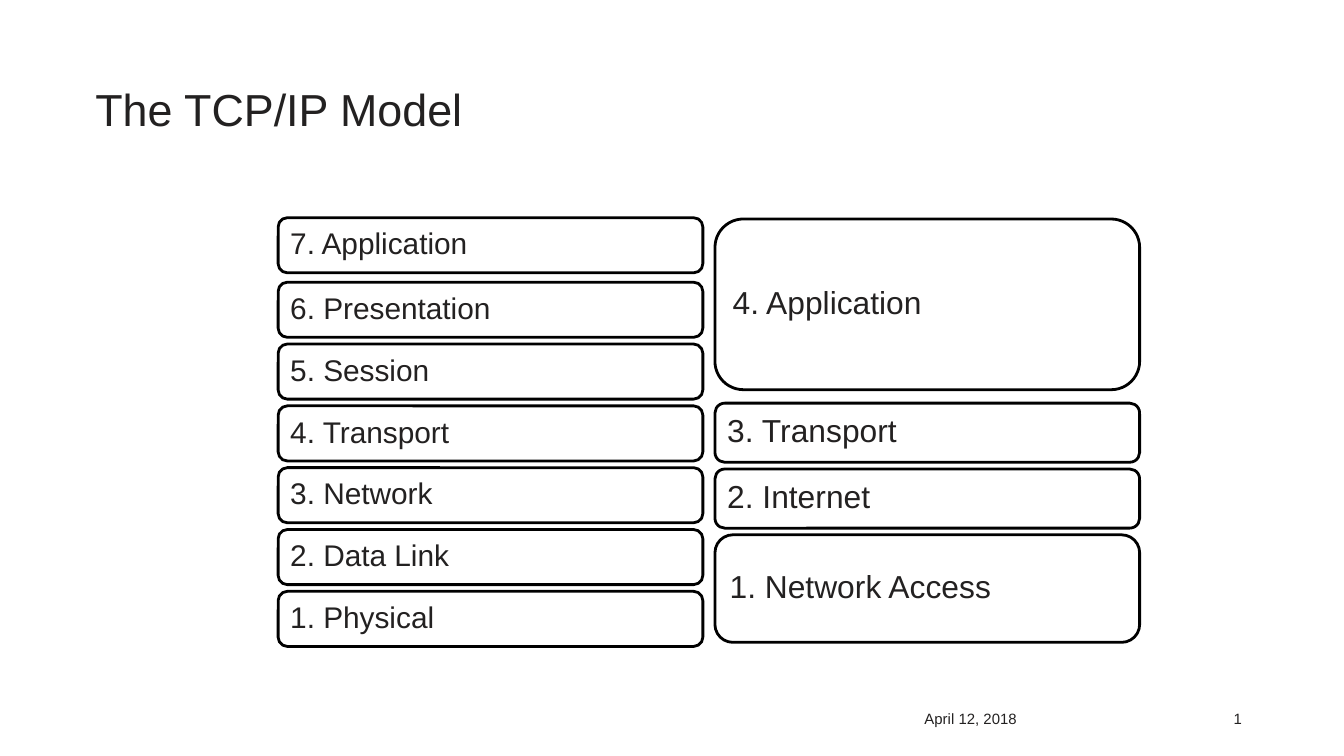
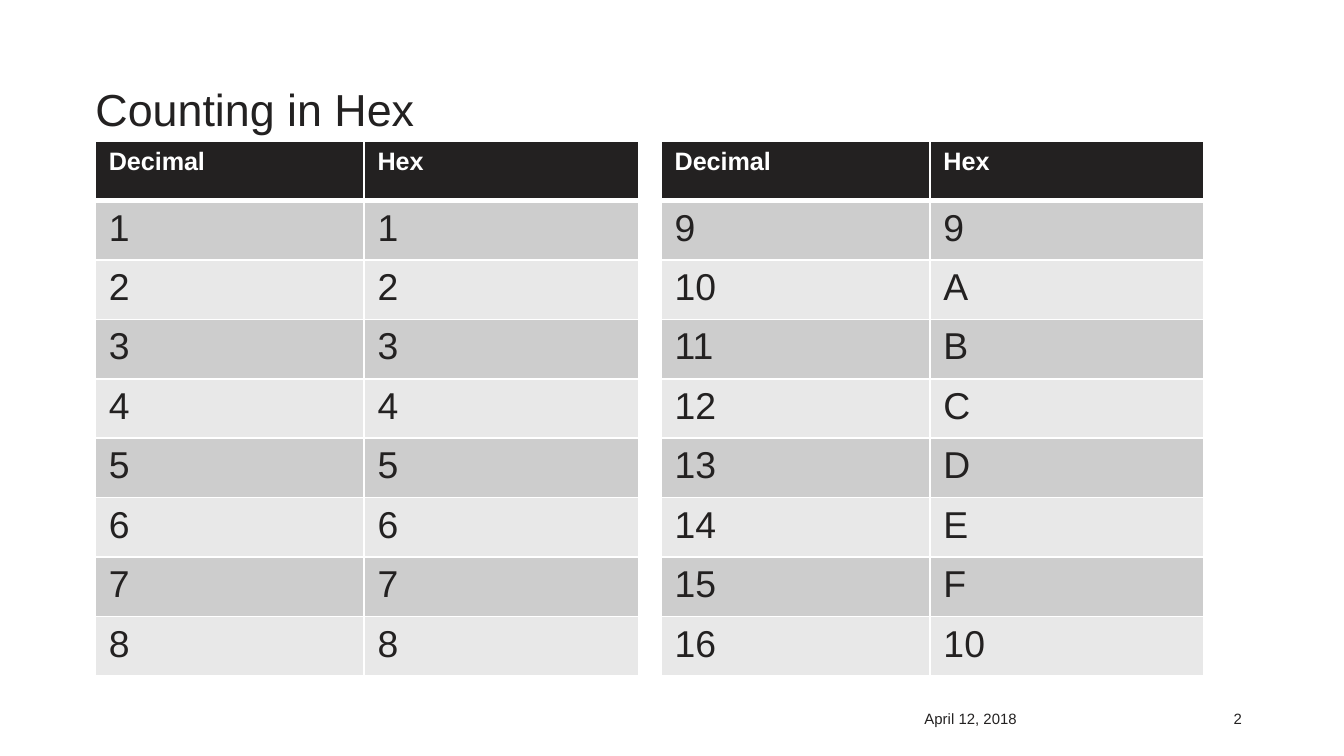
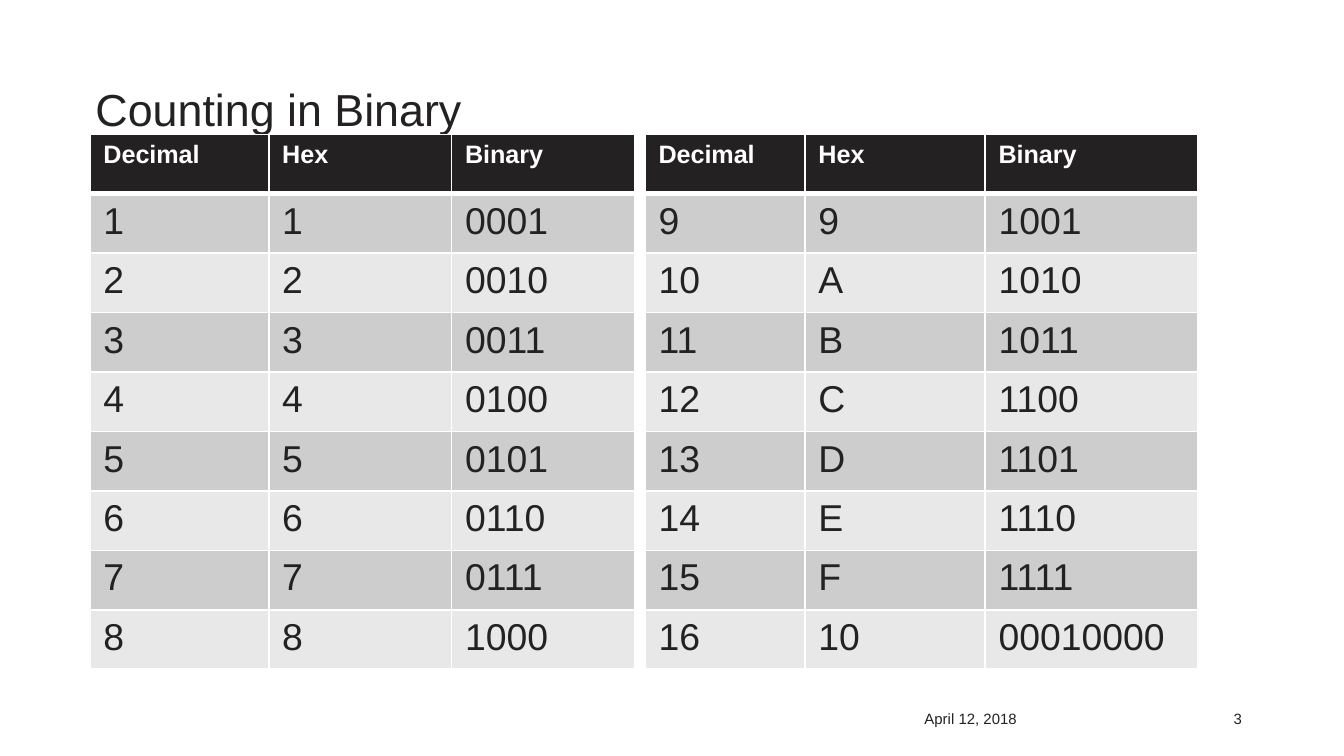
from dataclasses import dataclass

from lxml.etree import SubElement
from pptx import Presentation
from pptx.dml.color import RGBColor
from pptx.enum.shapes import MSO_SHAPE
from pptx.enum.text import MSO_ANCHOR, PP_ALIGN
from pptx.oxml.ns import qn
from pptx.util import Inches, Pt


@dataclass(frozen=True)
class Theme:
    """Colours, font and type sizes shared by the slides."""
    font: str = "Arial"
    ink: str = "232121"
    white: str = "FFFFFF"
    outline: str = "000000"
    band_dark: str = "CDCDCD"
    band_light: str = "E8E8E8"
    title: float = 24
    footer: float = 8
    osi_layer: float = 16
    tcp_layer: float = 17
    table_head: float = 13.5
    table_body: float = 20


T = Theme()
DATE = "April 12, 2018"
OSI_LAYERS = ["Application", "Presentation", "Session", "Transport",
              "Network", "Data Link", "Physical"]
TCP_LAYERS = ["Application", "Transport", "Internet", "Network Access"]
FORMATS = {
    "Decimal": str,
    "Hex": lambda n: f"{n:X}",
    "Binary": lambda n: f"{n:b}".zfill(4 * len(f"{n:X}")),
}


def write(tf, text, size, color=T.ink, bold=False, align=PP_ALIGN.LEFT,
          spacing=None, inset=None, anchor=None):
    """Put one formatted paragraph into a text frame."""
    tf.word_wrap = True
    if inset is not None:
        tf.margin_left = tf.margin_top = Inches(inset)
        tf.margin_right = tf.margin_bottom = Inches(inset)
    if anchor is not None:
        tf.vertical_anchor = anchor
    p = tf.paragraphs[0]
    p.alignment = align
    if spacing:
        p.line_spacing = spacing
    r = p.add_run()
    r.text = text
    r.font.name = T.font
    r.font.size = Pt(size)
    r.font.bold = bold
    r.font.color.rgb = RGBColor.from_string(color)


def add_text(s, box, text, size, **fmt):
    """Add a text box at left, top, width, height."""
    tb = s.shapes.add_textbox(*map(Inches, box))
    write(tb.text_frame, text, size, **fmt)


def add_frame(prs, title):
    """Add a slide with its title, date and number."""
    s = prs.slides.add_slide(prs.slide_layouts[6])
    add_text(s, (0.71, 0.65, 8.62, 0.82), title, T.title, spacing=0.9, inset=0)
    add_text(s, (6.78, 5.23, 2.05, 0.2), DATE, T.footer)
    add_text(s, (8.83, 5.23, 0.51, 0.2), str(len(prs.slides)), T.footer,
             align=PP_ALIGN.RIGHT)
    return s


def add_stack(s, left, top, layers, heights, first_gap, size, width=3.16, gap=0.05):
    """Stack numbered layers downwards, with a wider gap below the first."""
    group = s.shapes.add_group_shape()
    for i, (layer, height) in enumerate(zip(layers, heights)):
        sp = group.shapes.add_shape(MSO_SHAPE.ROUNDED_RECTANGLE,
                                    *map(Inches, (left, top, width, height)))
        sp.shadow.inherit = False
        sp.fill.solid()
        sp.fill.fore_color.rgb = RGBColor.from_string(T.white)
        sp.line.color.rgb = RGBColor.from_string(T.outline)
        sp.line.width = Pt(1.5)
        write(sp.text_frame, f"{len(layers) - i}. {layer}", size,
              spacing=0.9, inset=0.07, anchor=MSO_ANCHOR.MIDDLE)
        top += height + (gap if i else first_gap)


def set_borders(cell, **widths):
    """Draw white cell borders, given in points by side."""
    tc_pr = cell._tc.get_or_add_tcPr()
    for side in "LRTB":
        ln = SubElement(tc_pr, qn(f"a:ln{side}"), w=str(Pt(widths.get(side, 1))))
        fill = SubElement(ln, qn("a:solidFill"))
        SubElement(fill, qn("a:srgbClr"), val=T.white)


def add_number_table(s, left, top, numbers, widths, height=3.98):
    """Add a banded table of numbers in as many notations as widths."""
    heads = list(FORMATS)[:len(widths)]
    rows = [heads] + [[FORMATS[h](n) for h in heads] for n in numbers]
    box = (left, top, sum(widths), height)
    table = s.shapes.add_table(len(rows), len(heads), *map(Inches, box)).table
    table.horz_banding = False
    for column, width in zip(table.columns, widths):
        column.width = Inches(width)
    for i, row in enumerate(rows):
        if i == 0:
            band, borders = T.ink, {"B": 3}
            fmt = {"size": T.table_head, "color": T.white, "bold": True}
        else:
            band = T.band_dark if i % 2 else T.band_light
            borders = {"T": 3} if i == 1 else {}
            fmt = {"size": T.table_body}
        for j, text in enumerate(row):
            cell = table.cell(i, j)
            set_borders(cell, **borders)
            cell.fill.solid()
            cell.fill.fore_color.rgb = RGBColor.from_string(band)
            write(cell.text_frame, text, **fmt)


def add_model_slide(prs):
    """Show the seven layers beside the four TCP/IP layers."""
    s = add_frame(prs, "The TCP/IP Model")
    add_stack(s, 2.07, 1.62, OSI_LAYERS, [0.41] * 7, 0.07, T.osi_layer)
    add_stack(s, 5.32, 1.63, TCP_LAYERS, [1.27, 0.44, 0.44, 0.8], 0.1, T.tcp_layer)


def add_counting_slide(prs, title, top, left_table, right_table):
    """Show 1 to 8 and 9 to 16 in two tables, each a left edge and widths."""
    s = add_frame(prs, title)
    for first, (left, widths) in zip((1, 9), (left_table, right_table)):
        add_number_table(s, left, top, range(first, first + 8), widths)


def main():
    """Build and save the presentation."""
    prs = Presentation()
    prs.slide_width, prs.slide_height = Inches(10), Inches(10 * 9 / 16)
    add_model_slide(prs)
    add_counting_slide(prs, "Counting in Hex", 1.05,
                       (0.71, (2, 2.04)), (4.92, (2, 2.04)))
    add_counting_slide(prs, "Counting in Binary", 1,
                       (0.67, (1.33, 1.36, 1.36)), (4.8, (1.19, 1.34, 1.58)))
    prs.save("out.pptx")


if __name__ == "__main__":
    main()
